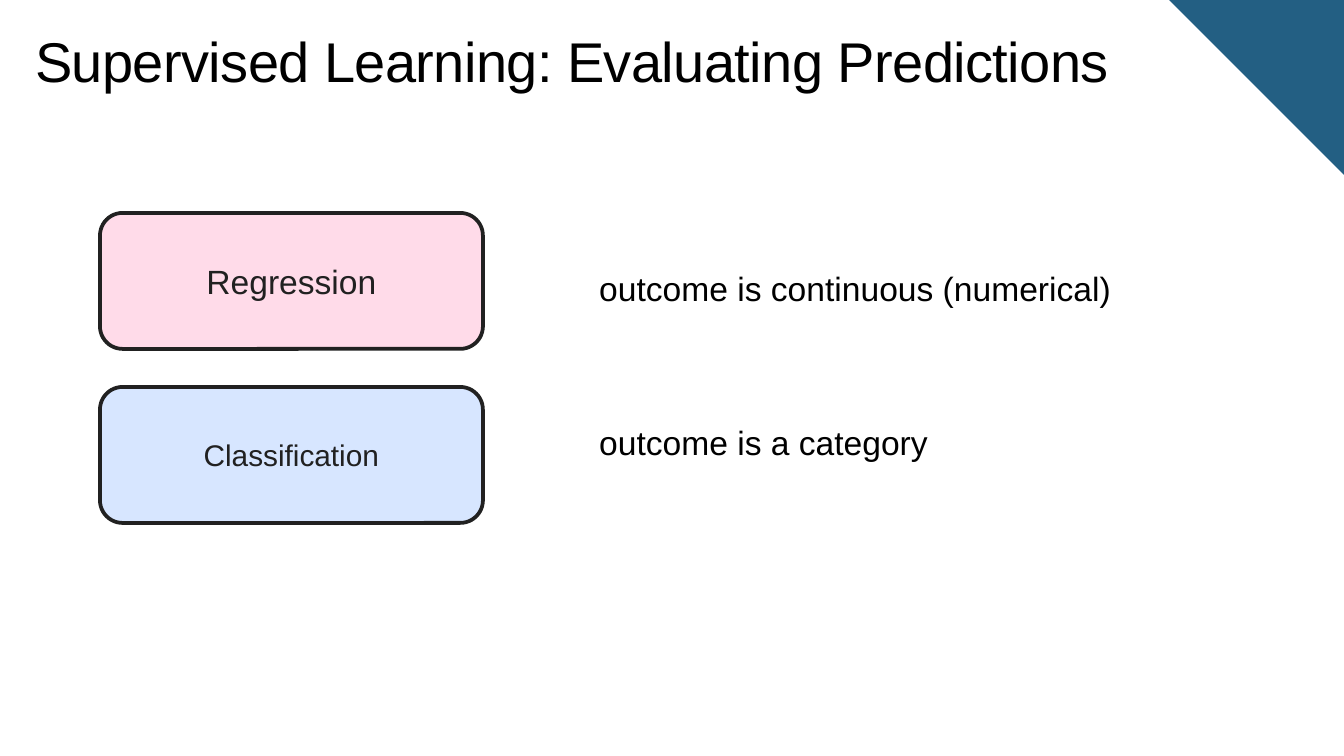
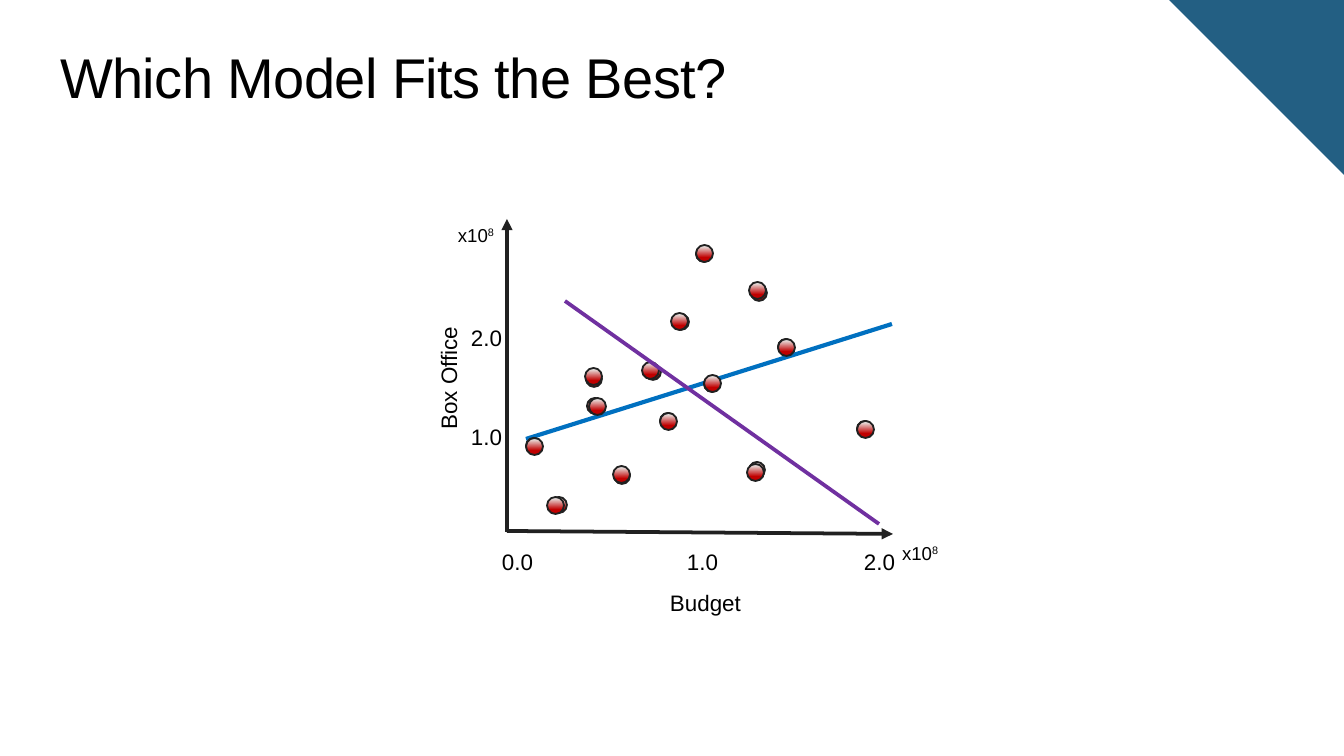
"""Build two slides on supervised learning: outcome types and a model-fit sketch."""
from typing import NamedTuple, Optional

from lxml import etree
from pptx import Presentation
from pptx.dml.color import RGBColor
from pptx.enum import shapes, text
from pptx.oxml import ns
from pptx.util import Emu, Pt

PIXEL = 914400 / 134.4
FONT = "Arial"
BLACK = RGBColor(0x00, 0x00, 0x00)
INK = RGBColor(0x21, 0x21, 0x21)
TEAL = RGBColor(0x23, 0x5F, 0x83)
PINK = RGBColor(0xFF, 0xDB, 0xE9)
PALE_BLUE = RGBColor(0xD7, 0xE6, 0xFF)
BLUE = RGBColor(0x00, 0x70, 0xC0)
PURPLE = RGBColor(0x70, 0x30, 0xA0)
HIGHLIGHT = RGBColor(0xED, 0xFF, 0xFD)
RED = RGBColor(0xC0, 0x00, 0x00)


class Box(NamedTuple):
    left: int
    top: int
    width: int
    height: int


class Label(NamedTuple):
    box: Box
    words: str
    size: int = 12
    exponent: str = ""
    rotation: int = 0


class Line(NamedTuple):
    start: tuple[int, int]
    end: tuple[int, int]
    color: RGBColor
    width: float = 2
    arrow: bool = False


class Outcome(NamedTuple):
    name: str
    size: int
    fill: RGBColor
    card_top: int
    meaning: str
    meaning_box: Box


OUTCOMES = [
    Outcome("Regression", 18, PINK, 213, "outcome is continuous (numerical)",
            Box(586, 241, 775, 69)),
    Outcome("Classification", 16, PALE_BLUE, 387, "outcome is a category",
            Box(586, 395, 425, 69)),
]
BACK_DOTS = [
    (751, 285), (857, 421), (749, 462), (704, 376), (586, 371), (587, 398), (526, 438),
    (551, 497), (614, 468), (696, 246), (778, 339), (673, 314), (660, 413), (645, 364),
]
FRONT_DOTS = [
    (857, 421), (747, 464), (778, 339), (704, 375), (749, 282), (696, 245), (671, 313),
    (642, 362), (660, 413), (613, 466), (589, 398), (585, 368), (526, 438), (547, 497),
]
RISING_FIT = Line((526, 439), (892, 324), BLUE, 2.25)
FALLING_FIT = Line((565, 301), (879, 524), PURPLE)
AXES = [
    Line((507, 532), (507, 219), INK, arrow=True),
    Line((507, 531), (893, 534), INK, arrow=True),
]
X_TICKS = [("0.0", 499), ("1.0", 684), ("2.0", 861)]
Y_TICKS = [("1.0", 399), ("2.0", 300)]
AXIS_LABELS = [
    *(Label(Box(left, 524, 36, 48), words) for words, left in X_TICKS),
    *(Label(Box(468, top, 36, 48), words) for words, top in Y_TICKS),
    Label(Box(450, 196, 51, 47), "x10", 10, "8"),
    Label(Box(894, 514, 51, 47), "x10", 10, "8"),
    Label(Box(664, 562, 82, 55), "Budget"),
    Label(Box(382, 351, 106, 55), "Box Office", rotation=270),
]


def px(value: float) -> Emu:
    """Turn pixels into EMU."""
    return Emu(round(value * PIXEL))


def style_run(run, size: int, color: RGBColor = BLACK, **attributes: str) -> None:
    """Set font, size, colour and raw run attributes."""
    run.font.name = FONT
    run.font.size = Pt(size)
    run.font.color.rgb = color
    for name, value in attributes.items():
        run._r.get_or_add_rPr().set(name, value)


def add_text(slide, box: Box, words: str, size: int, inset: bool = False, **attributes: str):
    """Add a wrapping text box and return it."""
    shape = slide.shapes.add_textbox(*map(px, box))
    frame = shape.text_frame
    frame.word_wrap = True
    frame.auto_size = text.MSO_AUTO_SIZE.SHAPE_TO_FIT_TEXT
    frame.text = words
    paragraph = frame.paragraphs[0]
    if not inset:
        frame.margin_left = frame.margin_top = frame.margin_right = frame.margin_bottom = 0
        paragraph._p.get_or_add_pPr().set("marL", str(px(1)))
    style_run(paragraph.runs[0], size, **attributes)
    return shape


def add_label(slide, label: Label) -> None:
    """Add a centred axis label, with an optional exponent."""
    shape = add_text(slide, label.box, label.words, label.size)
    shape.rotation = label.rotation
    shape.text_frame.vertical_anchor = text.MSO_ANCHOR.MIDDLE
    paragraph = shape.text_frame.paragraphs[0]
    paragraph.alignment = text.PP_ALIGN.CENTER
    paragraph.line_spacing = Pt(28.5)
    if label.exponent:
        run = paragraph.add_run()
        run.text = label.exponent
        style_run(run, label.size, baseline="30000")


def add_preset(slide, kind: shapes.MSO_SHAPE, box: Box, fill: Optional[RGBColor] = None,
               line_width: float = 0):
    """Add a preset shape without shadow and return it."""
    shape = slide.shapes.add_shape(kind, *map(px, box))
    shape.shadow.inherit = False
    if fill is not None:
        shape.fill.solid()
        shape.fill.fore_color.rgb = fill
    if line_width:
        shape.line.color.rgb = INK
        shape.line.width = Pt(line_width)
    else:
        shape.line.fill.background()
    return shape


def add_line(slide, line: Line) -> None:
    """Add a straight line, with an arrowhead where asked."""
    connector = slide.shapes.add_connector(
        shapes.MSO_CONNECTOR.STRAIGHT, *map(px, line.start + line.end))
    connector.line.color.rgb = line.color
    connector.line.width = Pt(line.width)
    if line.arrow:
        outline = connector.line._get_or_add_ln()
        etree.SubElement(outline, ns.qn("a:tailEnd"), type="triangle")
    etree.SubElement(connector._element.spPr, ns.qn("a:effectLst"))


def add_dots(slide, places: list[tuple[int, int]], size: int) -> None:
    """Add the shaded data points."""
    for left, top in places:
        dot = add_preset(slide, shapes.MSO_SHAPE.OVAL, Box(left, top, size, size), line_width=1)
        dot.fill.gradient()
        dot.fill.gradient_angle = 270
        stops = zip(dot.fill.gradient_stops, (0, 0.74), (HIGHLIGHT, RED))
        for stop, position, color in stops:
            stop.position = position
            stop.color.rgb = color


def add_slide(presentation, title: str, left: int, top: int):
    """Add a blank slide with the corner band and a title."""
    slide = presentation.slides.add_slide(presentation.slide_layouts[6])
    corner = add_preset(slide, shapes.MSO_SHAPE.RIGHT_TRIANGLE, Box(1169, 0, 175, 175), TEAL)
    corner.rotation = 180
    add_text(slide, Box(left, top, 1241, 67), title, 30, spc="-30")
    return slide


def build_outcomes(presentation) -> None:
    """Build the slide that names the two kinds of outcome."""
    slide = add_slide(presentation, "Supervised Learning: Evaluating Predictions", 34, 27)
    for outcome in OUTCOMES:
        meaning = add_text(slide, outcome.meaning_box, outcome.meaning, 18, inset=True)
        meaning.text_frame.paragraphs[0].line_spacing = 1.5
        card = add_preset(slide, shapes.MSO_SHAPE.ROUNDED_RECTANGLE,
                          Box(100, outcome.card_top, 383, 136), outcome.fill, 2)
        card.text_frame.text = outcome.name
        card.text_frame.vertical_anchor = text.MSO_ANCHOR.MIDDLE
        paragraph = card.text_frame.paragraphs[0]
        paragraph.alignment = text.PP_ALIGN.CENTER
        style_run(paragraph.runs[0], outcome.size, INK)


def build_model_fit(presentation) -> None:
    """Build the slide that sets two fitted lines against the data."""
    slide = add_slide(presentation, "Which Model Fits the Best?", 59, 43)
    add_line(slide, RISING_FIT)
    add_dots(slide, BACK_DOTS, 16)
    for axis in AXES:
        add_line(slide, axis)
    add_dots(slide, FRONT_DOTS, 17)
    for label in AXIS_LABELS:
        add_label(slide, label)
    add_line(slide, FALLING_FIT)


def main() -> None:
    """Build and save the presentation."""
    presentation = Presentation()
    presentation.slide_width = px(1344)
    presentation.slide_height = px(756)
    build_outcomes(presentation)
    build_model_fit(presentation)
    presentation.save("out.pptx")


main()
